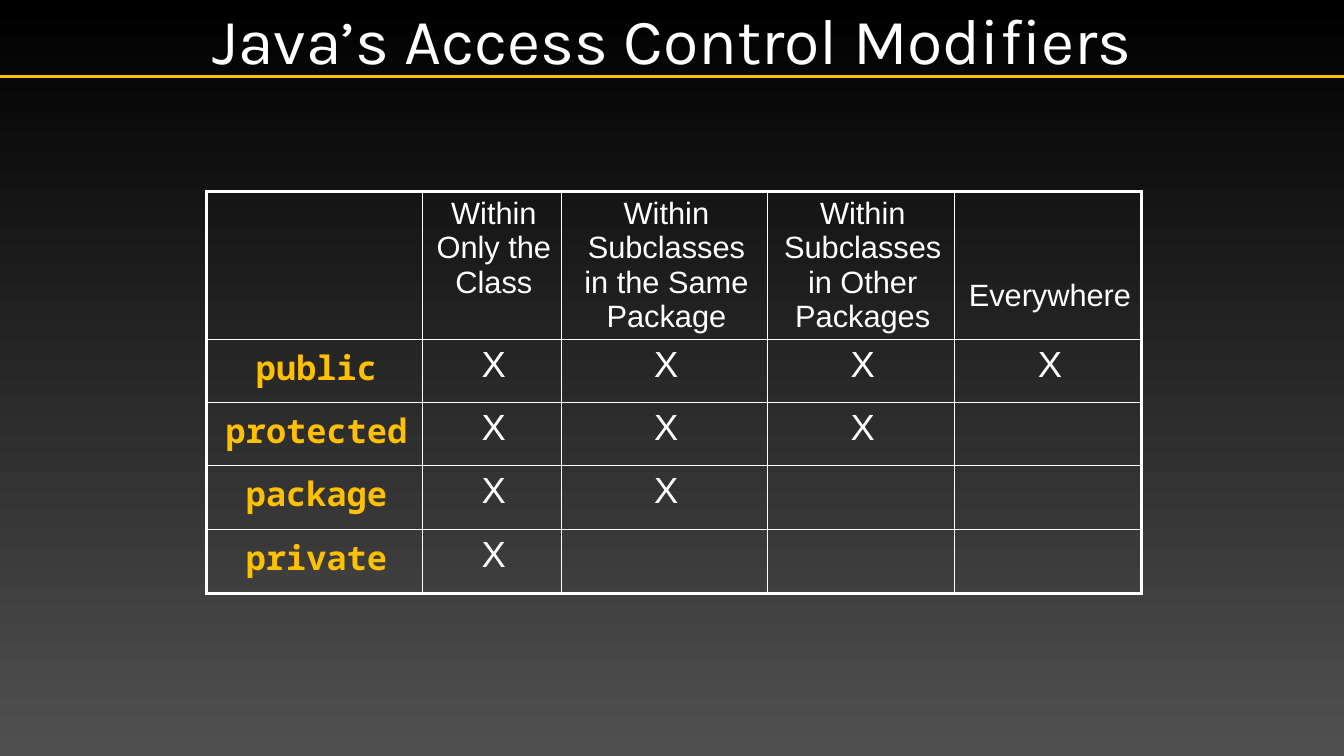
from pptx import Presentation
from pptx import util as u
from pptx.dml.color import RGBColor
from pptx.enum import shapes, text
from pptx.oxml.ns import qn
from lxml import etree

COLORS = {"white": "FFFFFF", "gold": "FFC000", "top": "000000", "bottom": "505050"}
HEADERS = ["", "Within Only the Class", "Within Subclasses in the Same Package",
           "Within Subclasses in Other Packages", "Everywhere"]
# Each modifier and how many scopes, from the left, it opens
MODIFIERS = {"public": 4, "protected": 3, "package": 2, "private": 1}
COLS = [154, 99.5, 147, 133.5, 134]
ROWS = [106, 44.6, 45.4, 45.4, 46]


def rgb(name):
    return RGBColor.from_string(COLORS[name])


class Deck:
    head = dict(size=22, font="Arial", color="white")
    mark = dict(size=26, font="Arial", color="white")
    code = dict(size=24, font="Noto Sans Mono", color="gold", bold=True)
    title_style = dict(size=46, font="Karla", color="white")

    def __init__(self):
        self.prs = Presentation()
        self.prs.slide_width, self.prs.slide_height = u.Pt(960), u.Pt(540)
        self.s = self.prs.slides.add_slide(self.prs.slide_layouts[5])

    def background(self):
        fill = self.s.background.fill
        fill.gradient()
        fill.gradient_angle = 270
        for stop, name in zip(fill.gradient_stops, ("top", "bottom")):
            stop.color.rgb = rgb(name)

    def add_text(self, tf, words, size, font, color, bold=False):
        p = tf.paragraphs[0]
        p.alignment = text.PP_ALIGN.CENTER
        r = p.add_run()
        r.text = words
        r.font.size, r.font.name, r.font.bold = u.Pt(size), font, bold
        r.font.color.rgb = rgb(color)
        return p

    def title(self, words):
        sp = self.s.shapes.title
        sp.left, sp.top, sp.width, sp.height = map(u.Pt, (120, 0, 720, 55.4))
        tf = sp.text_frame
        tf.word_wrap = True
        tf.auto_size = text.MSO_AUTO_SIZE.NONE
        tf.vertical_anchor = text.MSO_ANCHOR.MIDDLE
        tf.margin_left = tf.margin_right = tf.margin_top = tf.margin_bottom = u.Pt(3.6)
        self.add_text(tf, words, **self.title_style)

    def rule(self, y):
        ln = self.s.shapes.add_connector(
            shapes.MSO_CONNECTOR.STRAIGHT, 0, u.Pt(y), u.Pt(960), u.Pt(y))
        ln.line.color.rgb = rgb("gold")
        ln.line.width = u.Pt(2.5)
        etree.SubElement(ln._element.spPr, qn("a:effectLst"))

    def borders(self, cell, outer):
        tcPr = cell._tc.get_or_add_tcPr()
        for i, side in enumerate("LRTB"):
            width = u.Pt(2.25 if side in outer else 1)
            ln = etree.Element(qn("a:ln" + side), w=str(int(width)))
            fill = etree.SubElement(ln, qn("a:solidFill"))
            etree.SubElement(fill, qn("a:srgbClr"), val=COLORS["white"])
            tcPr.insert(i, ln)

    def table(self, x, y, cols, rows, cells):
        tbl = self.s.shapes.add_table(len(rows), len(cols), u.Pt(x), u.Pt(y),
                                      u.Pt(sum(cols)), u.Pt(sum(rows))).table
        tbl.first_row = tbl.horz_banding = False
        for col, width in zip(tbl.columns, cols):
            col.width = u.Pt(width)
        for row, height in zip(tbl.rows, rows):
            row.height = u.Pt(height)
        for i, line in enumerate(cells):
            for j, words in enumerate(line):
                cell = tbl.cell(i, j)
                cell.fill.background()
                edges = {"L": j == 0, "R": j == len(cols) - 1,
                         "T": i == 0, "B": i == len(rows) - 1}
                self.borders(cell, [side for side in edges if edges[side]])
                if words:
                    style = self.head if i == 0 else self.code if j == 0 else self.mark
                    p = self.add_text(cell.text_frame, words, **style)
                    p._p.get_or_add_pPr().set("marL", str(int(u.Pt(2.9))))
        return tbl


def main():
    deck = Deck()
    deck.background()

    # Heading
    deck.title("Java’s Access Control Modifiers")
    deck.rule(54.5)

    # Access table
    cells = [HEADERS] + [[name] + ["X"] * n + [""] * (4 - n)
                         for name, n in MODIFIERS.items()]
    tbl = deck.table(147.6, 136.8, COLS, ROWS, cells)
    tbl.cell(0, 4).margin_top = u.Pt(62)

    deck.prs.save("out.pptx")


if __name__ == "__main__":
    main()
